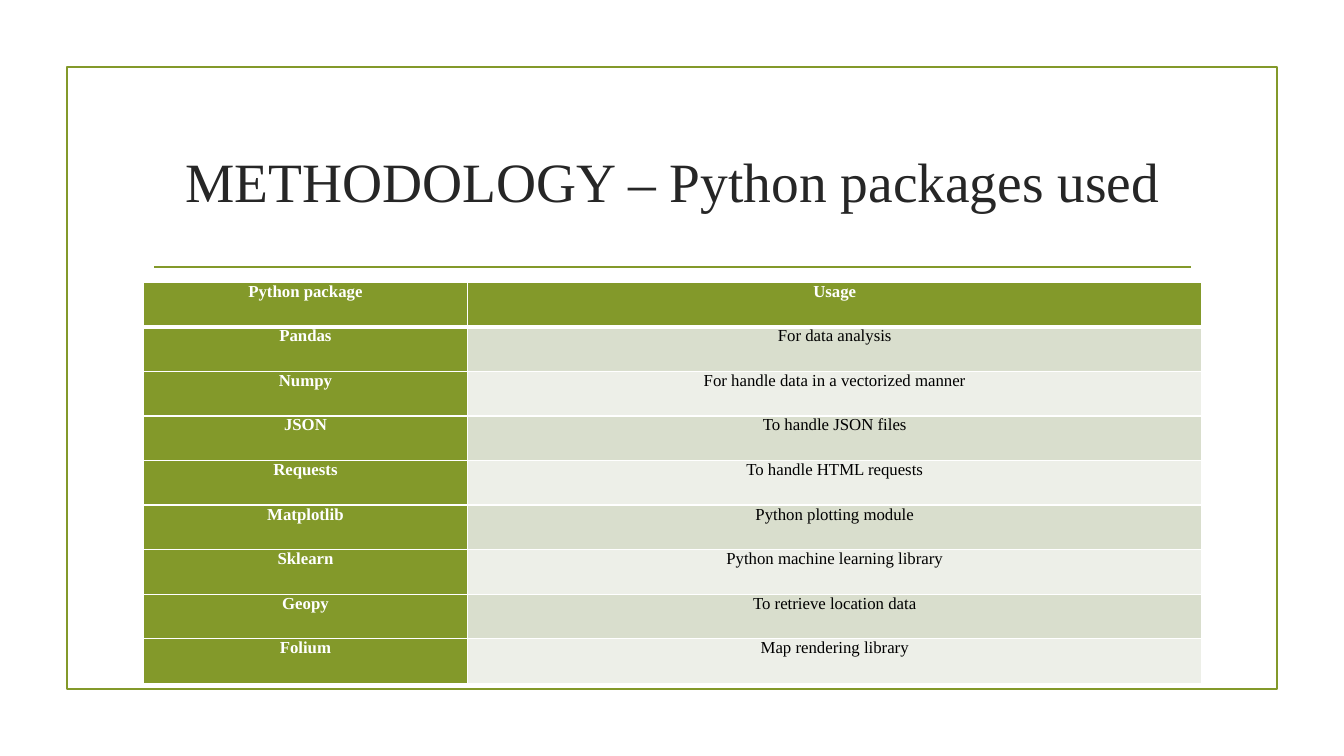
from lxml import etree
from pptx import Presentation
from pptx import util as u
from pptx.dml.color import RGBColor
from pptx.enum import shapes, text
from pptx.oxml import ns

WIDE, HIGH = 13.33, 7.5
LEFT, SPAN = 1.42, 10.5  # column shared by title and table
FONT = "Times New Roman"
HUES = {"green": "83992A", "dark": "262626", "black": "000000",
        "white": "FFFFFF", "odd": "D9DECD", "even": "EDEFE8"}
ROWS = [
    ("Python package", "Usage"),
    ("Pandas", "For data analysis"),
    ("Numpy", "For handle data in a vectorized manner"),
    ("JSON", "To handle JSON files"),
    ("Requests", "To handle HTML requests"),
    ("Matplotlib", "Python plotting module"),
    ("Sklearn", "Python machine learning library"),
    ("Geopy", "To retrieve location data"),
    ("Folium", "Map rendering library"),
]


def hue(name):
    return RGBColor.from_string(HUES[name])


def box(*sides):
    return [u.Inches(side) for side in sides]


def write(frame, words, size, tint, bold=False):
    para = frame.paragraphs[0]
    para.alignment = text.PP_ALIGN.CENTER
    run = para.add_run()
    run.text = words
    run.font.name = FONT
    run.font.size = u.Pt(size)
    run.font.bold = bold
    run.font.color.rgb = hue(tint)


def stroke(shape):
    shape.line.color.rgb = hue("green")
    shape.line.width = u.Pt(1.25)


def add_frame(slide):
    edge = 0.665
    rect = slide.shapes.add_shape(
        shapes.MSO_SHAPE.RECTANGLE,
        *box(edge, edge, WIDE - 2 * edge, HIGH - 2 * edge))
    rect.shadow.inherit = False
    rect.fill.background()
    stroke(rect)


def add_rule(slide):
    rule = slide.shapes.add_connector(
        shapes.MSO_CONNECTOR.STRAIGHT, *box(1.53, 2.65, 11.81, 2.65))
    stroke(rule)
    etree.SubElement(rule.element.spPr, ns.qn("a:effectLst"))


def add_title(slide, words):
    title = slide.shapes.title
    title.left, title.top, title.width, title.height = box(
        LEFT, 1.07, SPAN, 1.43)
    frame = title.text_frame
    frame.auto_size = text.MSO_AUTO_SIZE.NONE
    frame.vertical_anchor = text.MSO_ANCHOR.MIDDLE
    write(frame, words, 39.6, "dark")


def add_edges(cell, **widths):
    props = cell._tc.get_or_add_tcPr()
    for spot, side in enumerate("LRTB"):
        line = etree.Element(ns.qn(f"a:ln{side}"),
                             w=str(u.Pt(widths.get(side, 1))))
        fill = etree.SubElement(line, ns.qn("a:solidFill"))
        etree.SubElement(fill, ns.qn("a:srgbClr"), val=HUES["white"])
        props.insert(spot, line)


def add_cell(cell, words, row, col):
    head = row == 0 or col == 0
    cell.margin_left = cell.margin_right = u.Inches(0.07)
    cell.margin_top = cell.margin_bottom = 0
    cell.fill.solid()
    cell.fill.fore_color.rgb = hue(
        "green" if head else "odd" if row % 2 else "even")
    write(cell.text_frame, words, 12, "white" if head else "black", head)
    # The heading row is set off by a heavier edge
    add_edges(cell, T=3 if row == 1 else 1, B=3 if row == 0 else 1)


def add_grid(slide, rows):
    grid = slide.shapes.add_table(
        len(rows), 2, *box(LEFT, 2.8, SPAN, 3.98)).table
    for col, wide in zip(grid.columns, (3.22, SPAN - 3.22)):
        col.width = u.Inches(wide)
    for row, pair in enumerate(rows):
        for col, words in enumerate(pair):
            add_cell(grid.cell(row, col), words, row, col)


def main():
    deck = Presentation()
    deck.slide_width, deck.slide_height = box(WIDE, HIGH)
    slide = deck.slides.add_slide(deck.slide_layouts.get_by_name("Title Only"))
    # Frame and rule
    add_frame(slide)
    add_rule(slide)
    # Heading and table
    add_title(slide, "METHODOLOGY – Python packages used")
    add_grid(slide, ROWS)
    deck.save("out.pptx")


if __name__ == "__main__":
    main()
